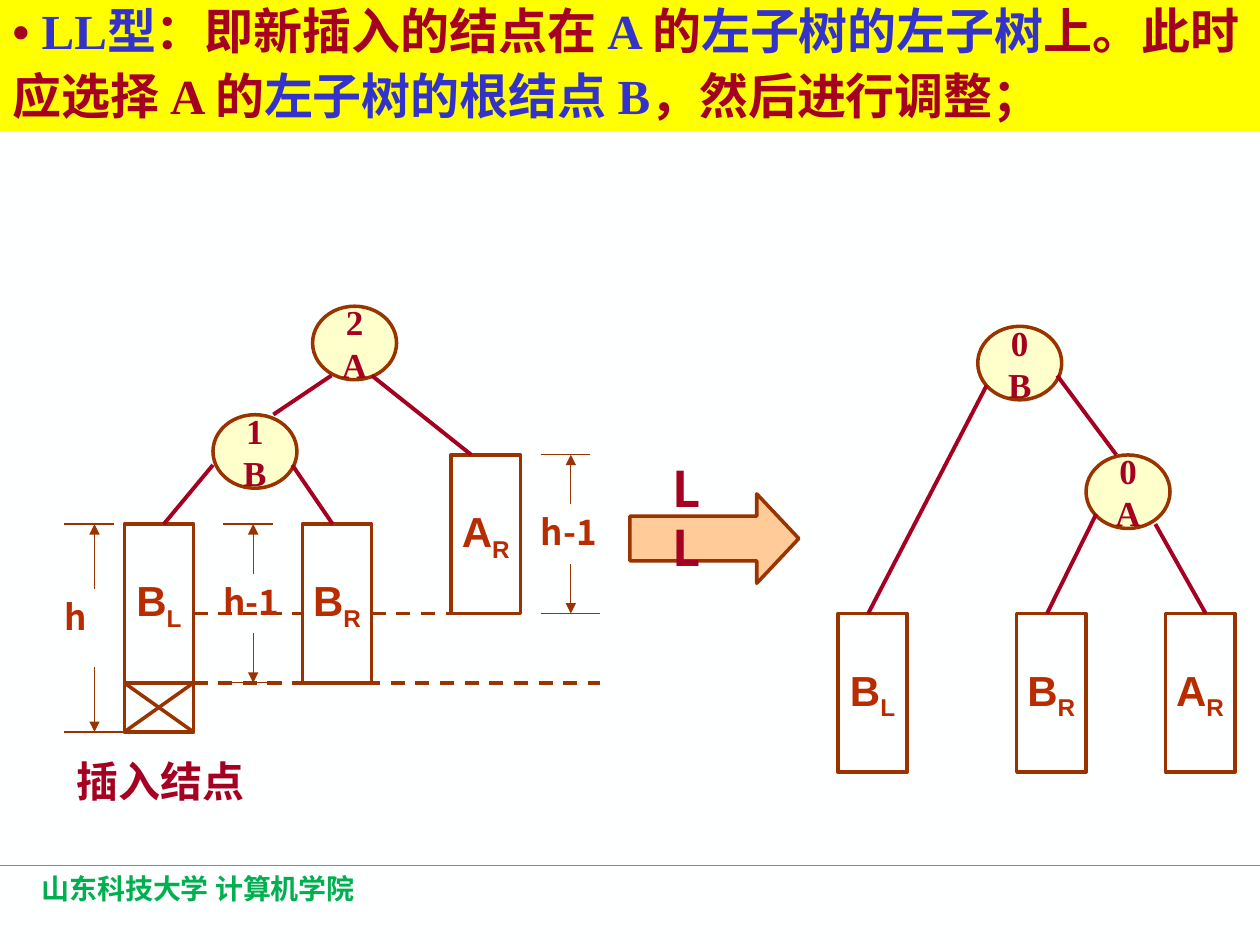
import pptx
import pptx.util
import pptx.dml.color
import pptx.enum.dml
import pptx.enum.shapes
import pptx.enum.text
import pptx.oxml.ns
from lxml import etree

Pt = pptx.util.Pt
RGBColor = pptx.dml.color.RGBColor
SHAPE = pptx.enum.shapes.MSO_SHAPE
ANCHOR = pptx.enum.text.MSO_ANCHOR
ALIGN = pptx.enum.text.PP_ALIGN
qn = pptx.oxml.ns.qn

PAPER = RGBColor(0xFE, 0xFF, 0xFF)
YELLOW = RGBColor(0xFF, 0xFF, 0x00)
CREAM = RGBColor(0xFF, 0xFF, 0xCC)
PEACH = RGBColor(0xFF, 0xCC, 0x99)
BROWN = RGBColor(0x99, 0x33, 0x00)
RUST = RGBColor(0xB8, 0x2C, 0x00)
CRIMSON = RGBColor(0xA5, 0x00, 0x21)
BLUE = RGBColor(0x33, 0x33, 0xCC)
GREEN = RGBColor(0x00, 0xB0, 0x50)
TEAL = RGBColor(0x00, 0xCC, 0x99)
SANS = "Noto Sans CJK SC"

# Content
BANNER = [
    ("• ", CRIMSON), ("LL型", BLUE), ("：即新插入的结点在 ", CRIMSON),
    ("A ", BLUE), ("的", CRIMSON), ("左子树的左子树", BLUE),
    ("上。此时应选择 A 的", CRIMSON), ("左子树的根结点 B", BLUE),
    ("，然后进行调整；", CRIMSON),
]
NODE_SIZE = (48, 42)
NODES = [  # balance factor, name, left, top
    ("2", "A", 178.6, 175), ("1", "B", 121.7, 237),
    ("0", "B", 558.7, 186.5), ("0", "A", 620.6, 260),
]
SUBTREE_SIZE = (39.6, 90.7)
SUBTREES = [  # name, subscript, left, top
    ("B", "L", 71, 299.5), ("B", "R", 172.8, 299.5), ("A", "R", 257.8, 259.9),
    ("B", "L", 478.8, 350.6), ("B", "R", 581, 350.6), ("A", "R", 666, 350.6),
]
EDGES = [  # x1, y1, x2, y2
    (189.4, 214.6, 156.2, 236.9), (212.4, 214.6, 269.3, 259.9),
    (121.7, 265.7, 93.6, 299.5), (167, 265.7, 190.1, 299.5),
    (604.1, 214.6, 637.9, 259.9), (660.2, 299.5, 689, 350.6),
    (563.8, 220.3, 496.1, 350.6), (626.4, 293.8, 598.3, 350.6),
]
LEVELS = [(110.6, 172.8, 350.6), (212.4, 257.8, 350.6), (110.6, 342.7, 390.2)]
DIMENSIONS = [  # label, left, top, bottom, arrow length
    ("h-1", 308.9, 259.9, 350.6, 28.4),
    ("h-1", 127.4, 299.5, 390.2, 28.4),
    ("h", 36.7, 299.5, 418.3, 37),
]
INSERTED = (71, 390.2, 39.6, 28.1)

deck = pptx.Presentation()
deck.slide_width, deck.slide_height = Pt(720), Pt(540)
page = deck.slides.add_slide(deck.slide_layouts[6])
page.background.fill.solid()
page.background.fill.fore_color.rgb = PAPER


def add_span(para, text, size, color, font=SANS, baseline=None):
    span = para.add_run()
    span.text = text
    style = {"size": Pt(size), "bold": True, "name": font}
    for key, value in style.items():
        setattr(span.font, key, value)
    span.font.color.rgb = color
    properties = span._r.get_or_add_rPr()
    etree.SubElement(properties, qn("a:ea")).set("typeface", SANS)
    if baseline:
        properties.set("baseline", str(baseline))


def add_shape(kind, left, top, width, height, fill=None, line=BROWN):
    shape = page.shapes.add_shape(kind, Pt(left), Pt(top), Pt(width), Pt(height))
    shape.shadow.inherit = False
    for part, color in ((shape.fill, fill), (shape.line.fill, line)):
        if color is None:
            part.background()
        else:
            part.solid()
            part.fore_color.rgb = color
    if line is not None:
        shape.line.width = Pt(2)
    shape.text_frame.word_wrap = False
    return shape


def add_text(text, left, top, width, height, size, color, inset=7.2, wrap=True):
    box = page.shapes.add_textbox(Pt(left), Pt(top), Pt(width), Pt(height))
    box.text_frame.word_wrap = wrap
    box.text_frame.margin_left = Pt(inset)
    add_span(box.text_frame.paragraphs[0], text, size, color)


def add_line(x1, y1, x2, y2, color=BROWN, width=0.75, dashed=False, arrow=False):
    line = page.shapes.add_connector(
        pptx.enum.shapes.MSO_CONNECTOR.STRAIGHT, Pt(x1), Pt(y1), Pt(x2), Pt(y2))
    line.line.color.rgb = color
    line.line.width = Pt(width)
    if dashed:
        line.line.dash_style = pptx.enum.dml.MSO_LINE.DASH
    if arrow:
        etree.SubElement(line.line._get_or_add_ln(), qn("a:tailEnd")).set("type", "triangle")
    etree.SubElement(line._element.spPr, qn("a:effectLst"))


# Footer
add_line(0, 494.6, 720, 494.6, TEAL)
add_text("山东科技大学 计算机学院", 16.6, 494.6, 298, 36, 16, GREEN)

# Rotation arrow
arrow = add_shape(SHAPE.RIGHT_ARROW, 360, 282.2, 96.5, 51.1, PEACH)
arrow.adjustments[0], arrow.adjustments[1] = 0.5, 0.47
add_text("LL", 377.3, 258.5, 42.5, 74.9, 28, CRIMSON)

# Level guides
for start, end, level in LEVELS:
    add_line(start, level, end, level, width=2, dashed=True)

# Subtrees
for name, subscript, left, top in SUBTREES:
    box = add_shape(SHAPE.RECTANGLE, left, top, *SUBTREE_SIZE)
    para = box.text_frame.paragraphs[0]
    para.alignment = ALIGN.CENTER
    add_span(para, name, 24, RUST, "Arial")
    add_span(para, subscript, 24, RUST, "Arial", baseline=-25000)

# Nodes with balance factors
for factor, name, left, top in NODES:
    frame = add_shape(SHAPE.OVAL, left, top, *NODE_SIZE, CREAM).text_frame
    for para, text in ((frame.paragraphs[0], factor), (frame.add_paragraph(), name)):
        para.alignment = ALIGN.CENTER
        add_span(para, text, 20, CRIMSON, "Times New Roman")

for edge in EDGES:
    add_line(*edge, CRIMSON, 2.25)

# Height dimensions
for label, left, top, bottom, length in DIMENSIONS:
    middle = left + 17.3
    add_line(left, top, left + 28.4, top)
    add_line(left, bottom, left + 34, bottom)
    add_line(middle, top + length, middle, top, arrow=True)
    add_line(middle, bottom - length, middle, bottom, arrow=True)
    add_text(label, left - 11.5, top + length, 62.6, 32, 20, RUST, inset=11.7)

# Inserted node, crossed out
left, top, width, height = INSERTED
add_shape(SHAPE.RECTANGLE, *INSERTED)
add_line(left, top, left + width, top + height, width=2)
add_line(left + width, top, left, top + height, width=2)
add_text("插入结点", 36.7, 428.4, 110.2, 36, 24, CRIMSON, wrap=False)

# Banner
banner = add_shape(SHAPE.RECTANGLE, 0, -6.5, 720, 81.4, YELLOW, None)
banner.text_frame.word_wrap = True
banner.text_frame.vertical_anchor = ANCHOR.TOP
para = banner.text_frame.paragraphs[0]
para.alignment = ALIGN.LEFT
para.line_spacing = 1.1
for text, color in BANNER:
    add_span(para, text, 28, color, "Times New Roman")

deck.save("out.pptx")
